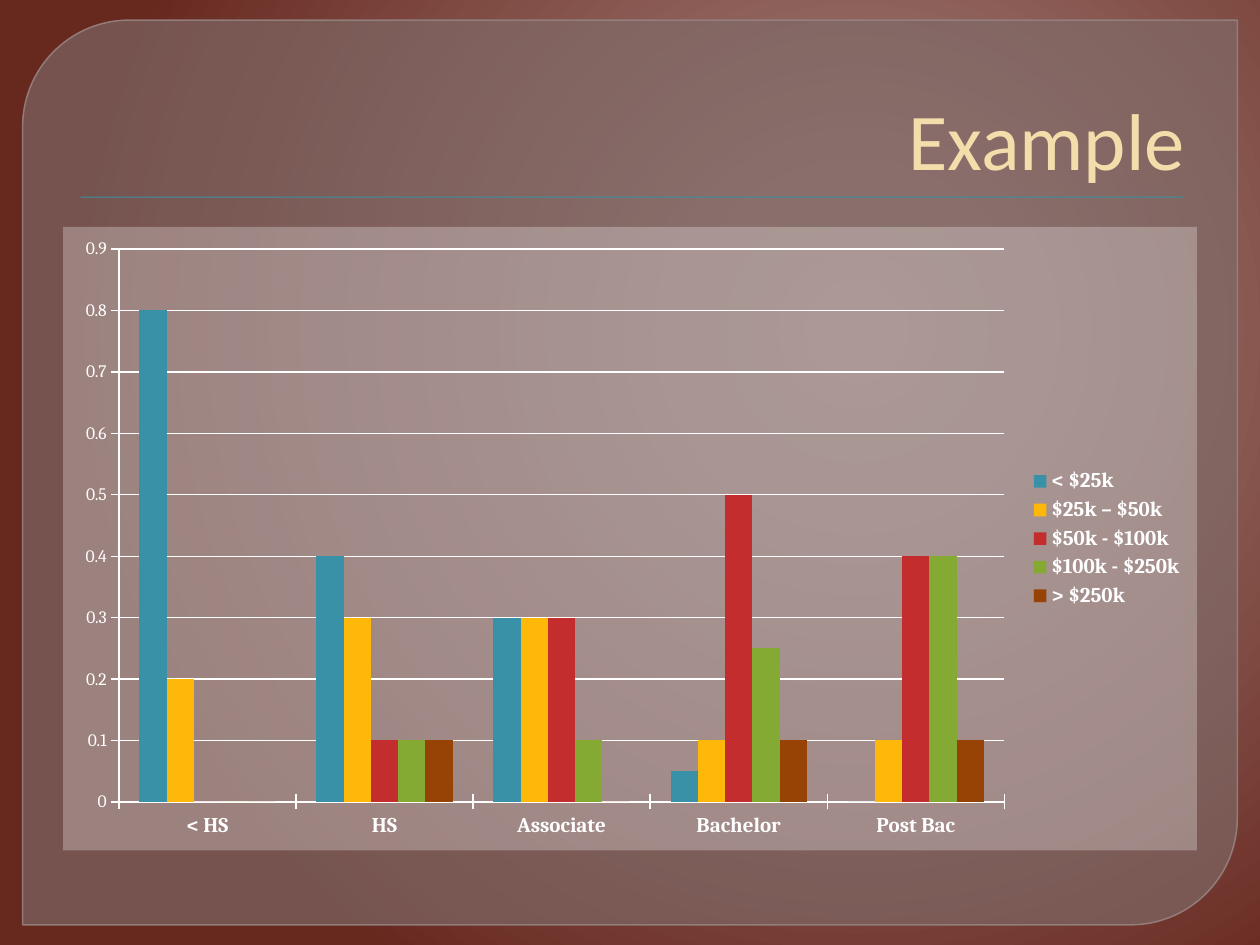
from typing import NamedTuple

from lxml import etree
from pptx import Presentation
from pptx.chart.data import CategoryChartData as Data
from pptx.dml.color import RGBColor
from pptx.enum.chart import XL_CHART_TYPE as Kind, XL_LEGEND_POSITION as Side
from pptx.enum.chart import XL_TICK_MARK as Tick
from pptx.enum.shapes import MSO_SHAPE as Form
from pptx.enum.text import MSO_ANCHOR as Anchor, PP_ALIGN as Align
from pptx.oxml import parse_xml
from pptx.oxml.ns import nsdecls, qn
from pptx.util import Inches, Pt


class Box(NamedTuple):
    left: float
    top: float
    width: float
    height: float

    def size(self) -> list:
        return [Inches(n) for n in self]


class Band(NamedTuple):
    name: str
    vals: tuple
    tint: str


CATS = ["< HS", "HS", "Associate", "Bachelor", "Post Bac"]
BANDS = [
    Band("< $25k", (0.8, 0.4, 0.3, 0.05, 0), "3891A7"),
    Band("$25k – $50k", (0.2, 0.3, 0.3, 0.1, 0.1), "FEB80A"),
    Band("$50k - $100k", (0, 0.1, 0.3, 0.5, 0.4), "C32D2E"),
    Band("$100k - $250k", (0, 0.1, 0.1, 0.25, 0.4), "84AA33"),
    Band("> $250k", (0, 0.1, 0, 0.1, 0.1), "964305"),
]
STOPS = [(0, "A7827D"), (20, "9C7570"), (100, "67281E")]
WHITE = "FFFFFF"
BOLD = {"size": Pt(12), "bold": True}


def style(item, **vals) -> None:
    for key, val in vals.items():
        setattr(item, key, val)


def paint(fill, tint: str) -> None:
    fill.solid()
    fill.fore_color.rgb = RGBColor.from_string(tint)


def fade(node, part: int) -> None:
    """Set the opacity of a solid fill, in percent."""
    tone = node.find(qn("a:solidFill")).find(qn("a:srgbClr"))
    etree.SubElement(tone, qn("a:alpha"), val=str(part * 1000))


def add_back(slide) -> None:
    slide.background.fill.gradient()
    old = next(slide._element.iter(qn("a:gradFill")))
    stops = "".join(f'<a:gs pos="{pos * 1000}"><a:srgbClr val="{tint}"/></a:gs>'
                    for pos, tint in STOPS)
    new = parse_xml(
        f'<a:gradFill {nsdecls("a")} rotWithShape="1"><a:gsLst>{stops}</a:gsLst>'
        '<a:path path="circle"><a:fillToRect l="68000" t="35000" r="32000" '
        'b="65000"/></a:path></a:gradFill>')
    old.getparent().replace(old, new)


def add_form(slide, form, box: Box, tint: str):
    shape = slide.shapes.add_shape(form, *box.size())
    shape.shadow.inherit = False
    paint(shape.fill, tint)
    shape.line.fill.background()
    return shape


def add_panel(slide) -> None:
    panel = add_form(slide, Form.ROUND_2_DIAG_RECTANGLE,
                     Box(0.18, 0.16, 9.64, 7.18), "7F6B69")
    panel.adjustments[0] = 0.118
    panel.adjustments[1] = 0
    paint(panel.line.fill, "968381")
    panel.line.width = Pt(0.87)
    props = panel._element.spPr
    fade(props, 65)
    fade(props.find(qn("a:ln")), 88)


def add_rule(slide) -> None:
    rule = add_form(slide, Form.RECTANGLE, Box(0.64, 1.56, 8.75, 0.01), "3891A7")
    glow = rule._element.spPr.find(qn("a:effectLst"))
    glow.append(parse_xml(
        f'<a:outerShdw {nsdecls("a")} blurRad="12700" dist="12700" dir="5400000">'
        '<a:srgbClr val="000000"><a:alpha val="75000"/></a:srgbClr></a:outerShdw>'))


def add_title(slide, text: str) -> None:
    frame = slide.shapes.add_textbox(*Box(0.5, 0.28, 9, 1.25).size()).text_frame
    style(frame, word_wrap=True, vertical_anchor=Anchor.BOTTOM, text=text)
    para = frame.paragraphs[0]
    para.alignment = Align.RIGHT
    style(para.font, size=Pt(46), name="Calibri")
    para.font.color.rgb = RGBColor.from_string("F2DDAB")


def tint_font(font, **vals) -> None:
    style(font, name="Cambria", **vals)
    font.color.rgb = RGBColor.from_string(WHITE)


def add_graph(slide) -> None:
    data = Data()
    data.categories = CATS
    for band in BANDS:
        data.add_series(band.name, band.vals)
    chart = slide.shapes.add_chart(
        Kind.COLUMN_CLUSTERED, *Box(0.5, 1.8, 9, 4.95).size(), data).chart
    style(chart, has_title=False, has_legend=True)
    tint_font(chart.font, size=Pt(10))
    style(chart.legend, position=Side.RIGHT, include_in_layout=False)
    tint_font(chart.legend.font, **BOLD)

    plot = chart.plots[0]
    style(plot, gap_width=150, overlap=0, vary_by_categories=False)
    for item, band in zip(plot.series, BANDS):
        item.invert_if_negative = False
        paint(item.format.fill, band.tint)

    cat, val = chart.category_axis, chart.value_axis
    style(val, has_major_gridlines=True, minimum_scale=0, maximum_scale=0.9,
          major_unit=0.1)
    for axis in (cat, val):
        axis.major_tick_mark = Tick.CROSS
    for part in (cat, val, val.major_gridlines):
        paint(part.format.line.fill, WHITE)
        part.format.line.width = Pt(0.75)
    tint_font(cat.tick_labels.font, **BOLD)

    area = parse_xml(
        f'<c:spPr {nsdecls("c", "a")}><a:solidFill><a:srgbClr val="{WHITE}"/>'
        '</a:solidFill><a:ln><a:noFill/></a:ln></c:spPr>')
    fade(area, 28)
    chart._chartSpace.find(qn("c:txPr")).addprevious(area)


def main() -> None:
    deck = Presentation()
    style(deck, slide_width=Inches(10), slide_height=Inches(7.5))
    slide = deck.slides.add_slide(deck.slide_layouts[6])
    add_back(slide)
    add_panel(slide)
    add_rule(slide)
    add_title(slide, "Example")
    add_graph(slide)
    deck.save("out.pptx")


if __name__ == "__main__":
    main()
